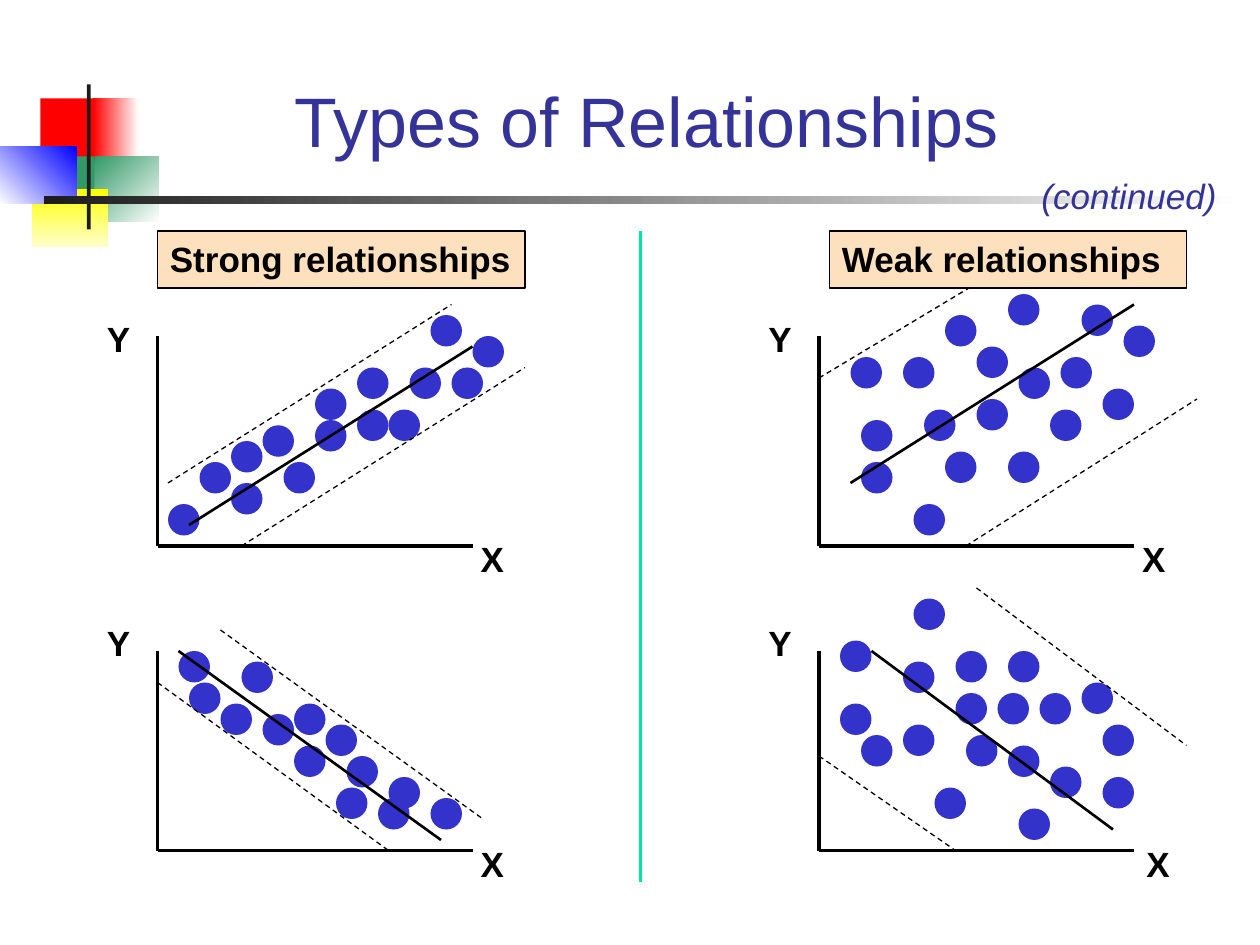
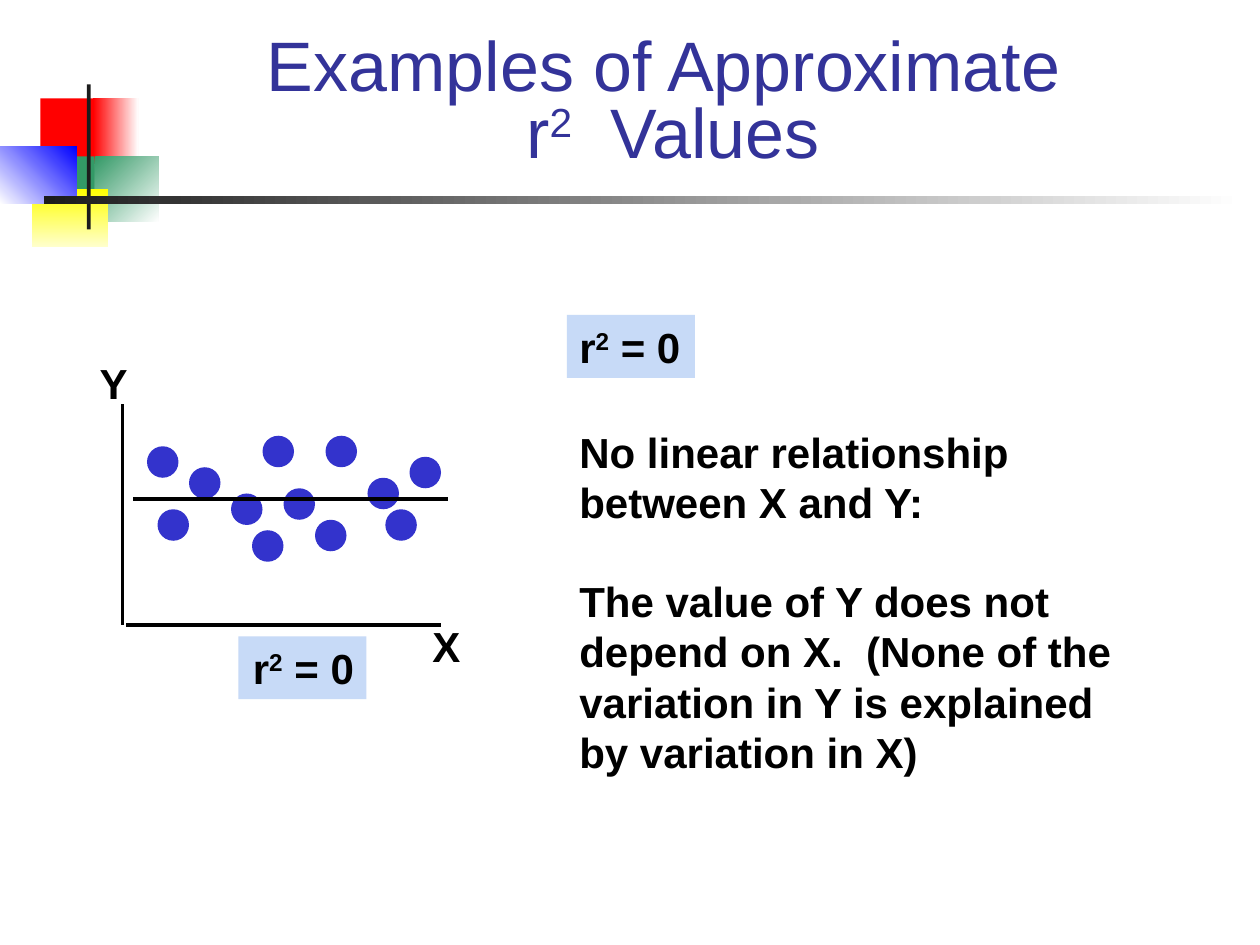
from dataclasses import dataclass
from lxml import etree
from pptx import Presentation, util as u
from pptx.dml.color import RGBColor
from pptx.enum import dml, shapes, text
from pptx.oxml.ns import qn


@dataclass(frozen=True)
class Theme:
    font: str = "Arial"
    head: str = "333399"
    ink: str = "000000"
    dot: str = "3333CC"
    peach: str = "FDE0BD"
    sky: str = "C7DAF7"
    mint: str = "00E4A8"
    big: int = 40
    mid: int = 24
    small: int = 20
    axis: float = 2
    trend: float = 1.5
    band: float = 0.75


T = Theme()
WIDE, HIGH = 10, 7.5
COLS = 120
DOT = 3
LEFT, RIGHT = text.PP_ALIGN.LEFT, text.PP_ALIGN.RIGHT

DECOR = [
    ((0.32, 0.78, 0.48, 0.52), ["FF0000"], 0),
    ((0.74, 0.78, 0.36, 0.52), ["FF0000", "FFFFFF"], 0),
    ((0.75, 1.24, 0.51, 0.52), ["339966", "FFFFFF"], 45),
    ((0.43, 1.24, 0.32, 0.52), ["339966"], 0),
    ((0.25, 1.5, 0.61, 0.46), ["FFFF00", "FFFFCC"], 90),
    ((0, 1.16, 0.61, 0.46), ["FFFFFF", "0000FF"], 315),
    ((0.69, 0.67, 0.03, 1.15), ["1C1C1C"], 0),
    ((0.35, 1.56, 9.51, 0.06), ["1C1C1C", "FFFFFF"], 0),
]

TYPES = [
    {"foot": (15, 52), "tall": 20, "x": (29.6, 1.4),
     "dots": [(1, 1), (4, 5), (26, 19), (28, 14), (7, 3), (30, 17), (19, 10),
              (19, 14), (24, 14), (15, 12), (7, 7), (10, 8.5), (22, 10),
              (15, 9), (12, 5)],
     "bands": [(1, 6, 28, 23), (8, 0, 35, 17)], "trend": (3, 2, 30, 19)},
    {"foot": (15, 81), "tall": 19, "x": (29.6, 1.4),
     "dots": [(21, 2), (3, 13), (26, 2), (8, 15), (18, 6), (22, 4), (13, 11),
              (2, 16), (6, 11), (10, 10), (17, 3), (16, 9), (13, 7)],
     "bands": [(6, 21, 31, 3), (0, 16, 22, 0)], "trend": (2, 19, 27, 1)},
    {"foot": (78, 52), "tall": 20, "x": (29.6, 1.4),
     "dots": [(15, 16), (4, 5), (18, 6), (23, 15), (8, 15), (9, 1), (12, 6),
              (19, 14), (12, 19), (4, 9), (3, 15), (10, 10), (22, 10),
              (15, 11), (18, 21), (29, 18), (27, 12), (25, 20)],
     "bands": [(0, 16, 15, 25), (14, 0, 36, 14)], "trend": (3, 6, 30, 23)},
    {"foot": (78, 81), "tall": 19, "x": (30, 1.4),
     "dots": [(2, 11), (2, 17), (8, 9), (19, 1), (4, 8), (13, 16), (18, 7),
              (17, 12), (13, 12), (8, 15), (21, 12), (14, 8), (11, 3),
              (22, 5), (27, 9), (25, 13), (27, 4), (18, 16), (9, 21)],
     "bands": [(15, 25, 35, 10), (0, 9, 13, 0)], "trend": (5, 19, 28, 2)},
]
FLAT = {
    "foot": (12, 59.5), "tall": 21, "x": (28, 1), "y": (-3.7, 26),
    "shift": -0.33, "size": T.mid, "pen": T.axis,
    "dots": [(3, 8), (27, 13), (23, 11), (18, 7), (19, 15), (13, 15), (2, 14),
             (6, 12), (10, 9.5), (15, 10), (12, 6), (24.7, 8)],
    "bands": [], "trend": (0.7, 12, 30.7, 12),
}
HEADS = [("Strong relationships", 15, 35), ("Weak relationships", 79, 34)]
ZERO = "r^2^ = 0"
NOTES = [
    "No linear relationship between X and Y:",
    "The value of Y does not depend on X.  (None of the variation in Y is "
    "explained by variation in X)",
]


def grid(*cells):
    return [u.Inches(c * WIDE / COLS) for c in cells]


def rgb(code):
    return RGBColor.from_string(code)


def write(para, words, size, color, bold=False, slant=False):
    first, *rest = words.split("^")
    para.text = first
    for i, part in enumerate(rest):
        run = para.add_run()
        run.text = part
        if i % 2 == 0:
            run.font._element.set("baseline", "30000")
    for run in para.runs:
        font = run.font
        font.name, font.size = T.font, u.Pt(size)
        font.bold, font.italic = bold, slant
        font.color.rgb = rgb(color)


def label(slide, lines, box, size, fill=None, edge=None, wrap=False,
          align=LEFT, color=T.ink, bold=True, slant=False):
    shape = slide.shapes.add_textbox(*grid(*box))
    frame = shape.text_frame
    frame.word_wrap = wrap
    frame.auto_size = text.MSO_AUTO_SIZE.SHAPE_TO_FIT_TEXT
    for i, words in enumerate(lines):
        para = frame.add_paragraph() if i else frame.paragraphs[0]
        write(para, words, size, color, bold, slant)
        para.alignment = align
        if i:
            para.space_before = u.Pt(size * 1.15)
    if fill:
        shape.fill.solid()
        shape.fill.fore_color.rgb = rgb(fill)
    if edge:
        shape.line.color.rgb = rgb(edge)
        shape.line.width = u.Pt(1)


def rule(slide, ends, width, color=T.ink, dash=False):
    line = slide.shapes.add_connector(shapes.MSO_CONNECTOR.STRAIGHT, *grid(*ends))
    line.line.color.rgb = rgb(color)
    line.line.width = u.Pt(width)
    if dash:
        line.line.dash_style = dml.MSO_LINE.DASH
    etree.SubElement(line.element.spPr, qn("a:effectLst"))


def block(slide, kind, box):
    shape = slide.shapes.add_shape(kind, *box)
    shape.shadow.inherit = False
    shape.line.fill.background()
    return shape


def plot(slide, data):
    left, base = data["foot"]
    size = data.get("size", T.small)
    shift = data.get("shift", 0)

    def place(ends):
        a, b, c, d = ends
        return left + a, base - b, left + c, base - d

    rule(slide, place((shift, data["tall"], shift, 0)), T.axis)
    rule(slide, place((0, 0, 30, 0)), T.axis)
    for x, y in data["dots"]:
        box = grid(left + x, base - y - DOT, DOT, DOT)
        dot = block(slide, shapes.MSO_SHAPE.OVAL, box)
        dot.fill.solid()
        dot.fill.fore_color.rgb = rgb(T.dot)
    for ends in data["bands"]:
        rule(slide, place(ends), T.band, dash=True)
    rule(slide, place(data["trend"]), data.get("pen", T.trend))
    spots = {"Y": data.get("y", (-6, 22.4)), "X": data["x"]}
    for name, (x, y) in spots.items():
        box = left + x, base - y, size * 0.21 + 0.5, size * 0.21 + 1
        label(slide, [name], box, size)


def decor(slide, layout):
    for i, (box, hues, angle) in enumerate(DECOR):
        shape = block(slide, shapes.MSO_SHAPE.RECTANGLE, [u.Inches(b) for b in box])
        if len(hues) == 1:
            shape.fill.solid()
            shape.fill.fore_color.rgb = rgb(hues[0])
        else:
            shape.fill.gradient()
            shape.fill.gradient_angle = -angle % 360
            for stop, hue in zip(shape.fill.gradient_stops, hues):
                stop.color.rgb = rgb(hue)
        shape.element.nvSpPr.cNvPr.set("id", str(100 + i))
        layout.shapes.element.append(shape.element)


def page(deck, words, box, pitch=1.0):
    slide = deck.slides.add_slide(deck.slide_layouts[5])
    title = slide.shapes.title
    title.left, title.top, title.width, title.height = grid(*box)
    frame = title.text_frame
    frame.word_wrap = True
    frame.auto_size = text.MSO_AUTO_SIZE.NONE
    frame.vertical_anchor = text.MSO_ANCHOR.BOTTOM
    para = frame.paragraphs[0]
    write(para, words, T.big, T.head)
    para.alignment = text.PP_ALIGN.CENTER
    para.line_spacing = pitch
    return slide


def main():
    deck = Presentation()
    deck.slide_width, deck.slide_height = u.Inches(WIDE), u.Inches(HIGH)

    kinds = page(deck, "Types of Relationships", (15.1, 3, 92.9, 13))
    decor(kinds, deck.slide_layouts[5])
    for data in TYPES:
        plot(kinds, data)
    for words, x, width in HEADS:
        label(kinds, [words], (x, 22, width, 5.4), T.small, T.peach, T.ink, True)
    rule(kinds, (61, 22, 61, 84), 2.25, T.mint)
    label(kinds, ["(continued)"], (98, 16, 19.1, 5.2), T.small,
          color=T.head, bold=False, slant=True)

    zero = page(deck, "Examples of Approximate \vr^2^  Values",
                (13, 4, 102.2, 13), 0.8)
    plot(zero, FLAT)
    label(zero, [ZERO], (54, 30, 12.2, 6), T.mid, T.sky)
    label(zero, [ZERO], (22.7, 60.6, 12.2, 6), T.mid, T.sky, align=RIGHT)
    label(zero, NOTES, (54, 40, 55, 34.8), T.mid, wrap=True)

    deck.save("out.pptx")


if __name__ == "__main__":
    main()
